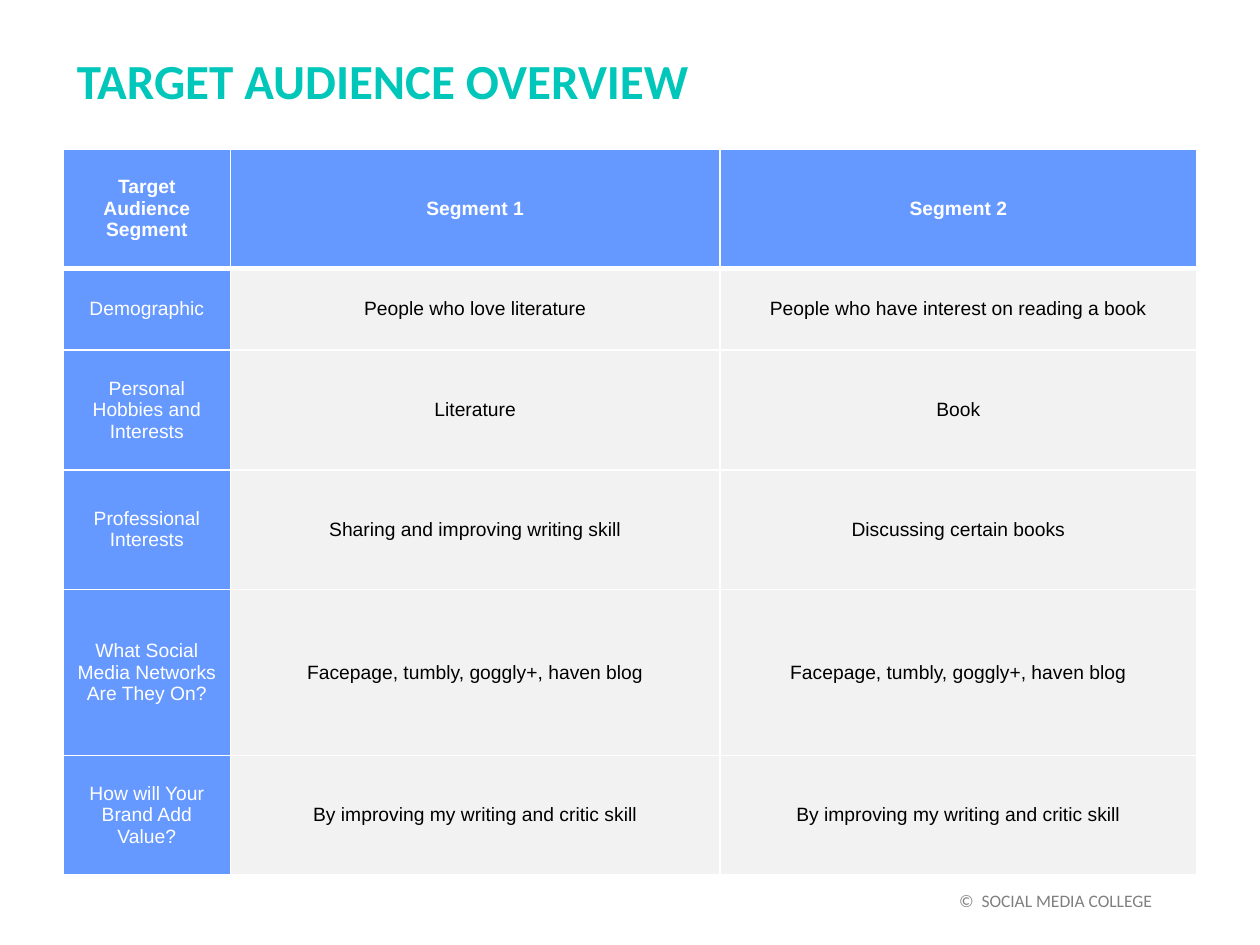
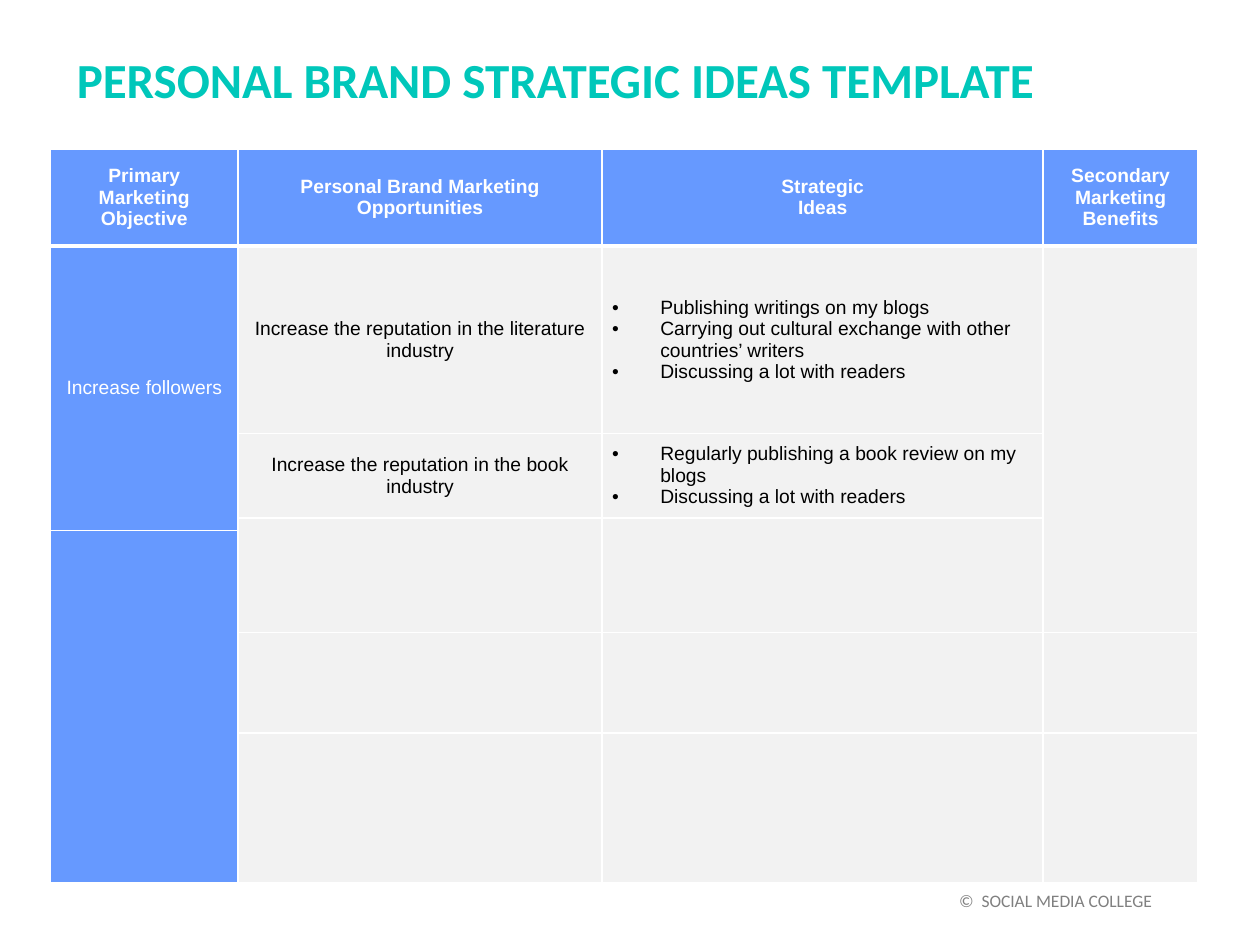
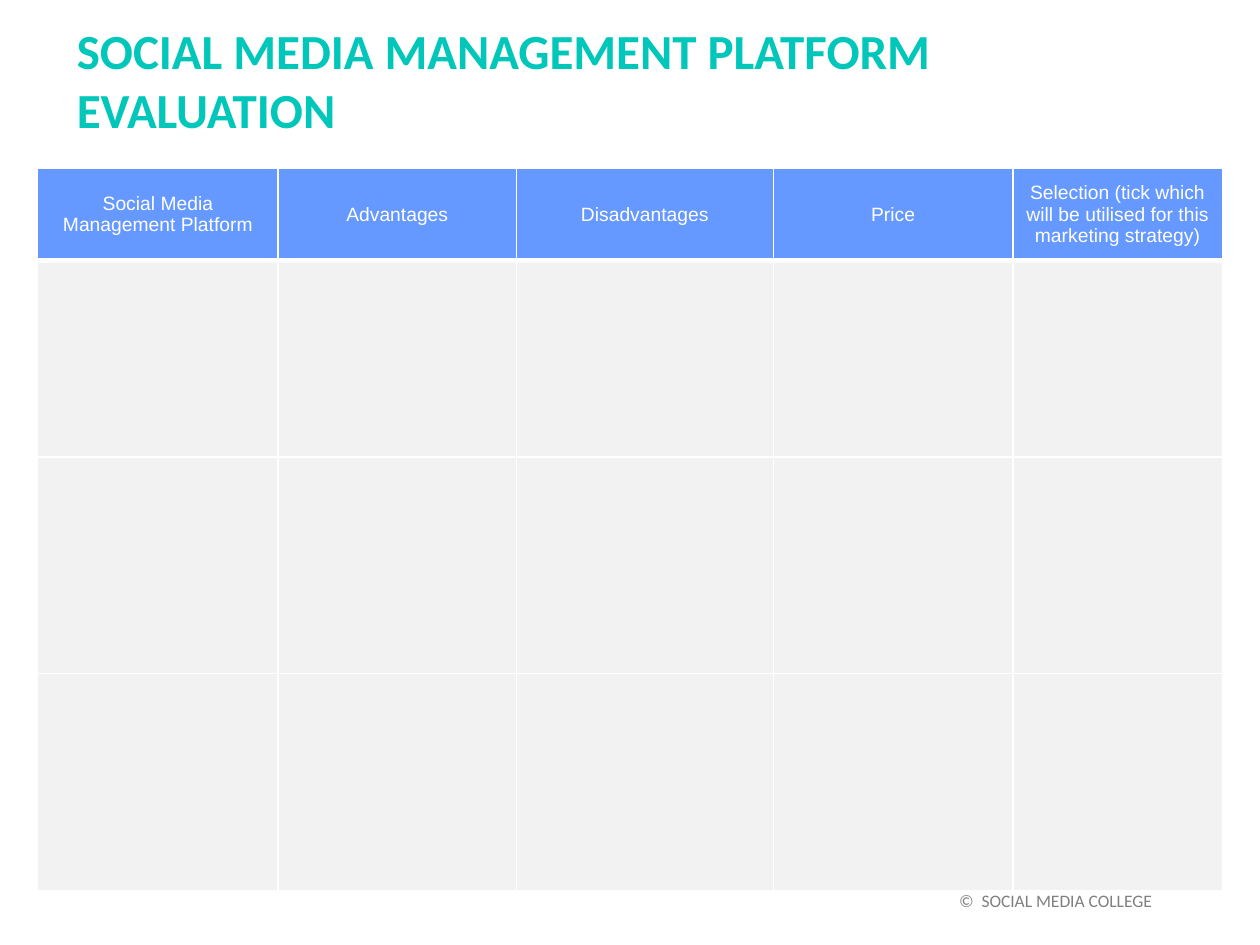
from collections import namedtuple

from lxml.etree import SubElement
from pptx import Presentation
from pptx.dml.color import RGBColor
from pptx.enum.text import MSO_ANCHOR, MSO_AUTO_SIZE, PP_ALIGN
from pptx.oxml.ns import qn
from pptx.util import Cm, Pt

COLORS = {
    "title": "00C7BA",
    "footer": "808080",
    "label": "6699FF",
    "body": "F2F2F2",
    "ink": "000000",
    "white": "FFFFFF",
}
Box = namedtuple("Box", "left top width height")
TALL_TITLE = Box(1.3, 0.28, 19.96, 2.64)
FOOTER = Box(0.76, 17.65, 22.71, 1.02)
BULLET_INDENT = Cm(0.97)


def write(frame, text, *, size=11, font="Arial", color="ink", bold=False,
          align=PP_ALIGN.LEFT, bullet=False):
    frame.word_wrap = True
    for number, line in enumerate(text.split("\n")):
        paragraph = frame.paragraphs[0] if number == 0 else frame.add_paragraph()
        paragraph.alignment = align
        if bullet:
            properties = paragraph._p.get_or_add_pPr()
            properties.set("marL", str(BULLET_INDENT))
            properties.set("indent", str(-BULLET_INDENT))
            SubElement(properties, qn("a:buFont"), typeface="Arial")
            SubElement(properties, qn("a:buChar"), char="•")
        run = paragraph.add_run()
        run.text = line
        run.font.size = Pt(size)
        run.font.name = font
        run.font.bold = bold
        run.font.color.rgb = RGBColor.from_string(COLORS[color])


def add_label(slide, box, text, *, grow=False, **format):
    frame = slide.shapes.add_textbox(*map(Cm, box)).text_frame
    write(frame, text, font="Calibri", **format)
    frame.vertical_anchor = MSO_ANCHOR.MIDDLE
    frame.auto_size = MSO_AUTO_SIZE.SHAPE_TO_FIT_TEXT if grow else MSO_AUTO_SIZE.NONE


def add_base(deck, title, title_box=TALL_TITLE):
    slide = deck.slides.add_slide(deck.slide_layouts[6])
    add_label(slide, title_box, title, size=28, color="title", bold=True, grow=True)
    add_label(slide, FOOTER, "©  SOCIAL MEDIA COLLEGE", size=10, color="footer",
              align=PP_ALIGN.RIGHT)
    return slide


def set_borders(cell, top, bottom):
    properties = cell._tc.get_or_add_tcPr()
    for side, width in (("L", 1), ("R", 1), ("T", top), ("B", bottom)):
        line = SubElement(properties, qn(f"a:ln{side}"), w=str(Pt(width)))
        fill = SubElement(line, qn("a:solidFill"))
        SubElement(fill, qn("a:srgbClr"), val=COLORS["white"])


def add_grid(slide, left, top, widths, heights, texts, *, insets, merges=(),
             label_column=True, bold_header=True, bullet_column=None):
    table = slide.shapes.add_table(len(heights), len(widths), Cm(left), Cm(top),
                                   Cm(sum(widths)), Cm(sum(heights))).table
    table.first_row = table.horz_banding = False
    for column, width in zip(table.columns, widths):
        column.width = Cm(width)
    for row, height in zip(table.rows, heights):
        row.height = Cm(height)
    for r in range(len(heights)):
        for c, (inset_x, inset_y) in enumerate(insets):
            cell = table.cell(r, c)
            is_label = r == 0 or (label_column and c == 0)
            set_borders(cell, 3 if r == 1 else 1, 3 if r == 0 else 1)
            cell.fill.solid()
            cell.fill.fore_color.rgb = RGBColor.from_string(
                COLORS["label" if is_label else "body"])
            cell.margin_left = cell.margin_right = Cm(inset_x)
            cell.margin_top = cell.margin_bottom = Cm(inset_y)
            cell.vertical_anchor = MSO_ANCHOR.MIDDLE
            text = texts.get((r, c))
            if text:
                bullet = r > 0 and c == bullet_column
                write(cell.text_frame, text, bullet=bullet,
                      color="white" if is_label else "ink",
                      bold=r == 0 and bold_header,
                      align=PP_ALIGN.LEFT if bullet else PP_ALIGN.CENTER)
            else:
                SubElement(cell.text_frame.paragraphs[0]._p, qn("a:endParaRPr"), sz="500")
    for first, last in merges:
        table.cell(*first).merge(table.cell(*last))


def index_rows(rows):
    return {(r, c): text for r, row in enumerate(rows) for c, text in enumerate(row)}


def add_audience(deck):
    slide = add_base(deck, "TARGET AUDIENCE OVERVIEW", Box(1.3, 0.89, 19.96, 1.45))
    networks = "Facepage, tumbly, goggly+, haven blog"
    value = "By improving my writing and critic skill"
    rows = [
        ("Target Audience Segment", "Segment 1", "Segment 2"),
        ("Demographic", "People who love literature",
         "People who have interest on reading a book"),
        ("Personal Hobbies and Interests", "Literature", "Book"),
        ("Professional Interests", "Sharing and improving writing skill",
         "Discussing certain books"),
        ("What Social Media Networks Are They On?", networks, networks),
        ("How will Your Brand Add Value?", value, value),
    ]
    add_grid(slide, 1.27, 3, (3.38, 9.86, 9.62), (2.41, 1.65, 2.41, 2.41, 3.35, 2.41),
             index_rows(rows), insets=[(0.23, 0.1)] * 3)


def add_ideas(deck):
    slide = add_base(deck, "PERSONAL BRAND STRATEGIC IDEAS TEMPLATE")
    rows = [
        ("Primary Marketing\nObjective", "Personal Brand Marketing Opportunities",
         "Strategic\nIdeas", "Secondary Marketing Benefits"),
        ("Increase followers", "Increase the reputation in the literature industry",
         "Publishing writings on my blogs\n"
         "Carrying out cultural exchange with other countries’ writers\n"
         "Discussing a lot with readers"),
        ("", "Increase the reputation in the book industry",
         "Regularly publishing a book review on my blogs\n"
         "Discussing a lot with readers"),
    ]
    add_grid(slide, 1.02, 3, (3.78, 7.34, 8.89, 3.12),
             (1.96, 3.78, 1.7, 0.25, 2.06, 2.03, 3.02), index_rows(rows),
             insets=[(0.2, 0.1), (0, 0), (0.2, 0.1), (0.03, 0.03)],
             merges=[((1, 0), (3, 0)), ((4, 0), (6, 0)), ((1, 3), (4, 3)),
                     ((3, 1), (4, 1)), ((3, 2), (4, 2))],
             bullet_column=2)


def add_evaluation(deck):
    slide = add_base(deck, "SOCIAL MEDIA MANAGEMENT PLATFORM EVALUATION",
                     TALL_TITLE._replace(width=20.96))
    headings = ("Social Media Management Platform", "Advantages", "Disadvantages", "Price",
                "Selection (tick which will be utilised for this marketing strategy)")
    add_grid(slide, 0.76, 3.4, (4.85, 4.8, 5.18, 4.83, 4.22), (1.85, 3.96, 4.37, 4.37),
             index_rows([headings]), insets=[(0.25, 0.13)] * 5,
             label_column=False, bold_header=False)


def main():
    deck = Presentation()
    deck.slide_width, deck.slide_height = Cm(25.4), Cm(19.05)
    add_audience(deck)
    add_ideas(deck)
    add_evaluation(deck)
    deck.save("out.pptx")


if __name__ == "__main__":
    main()
